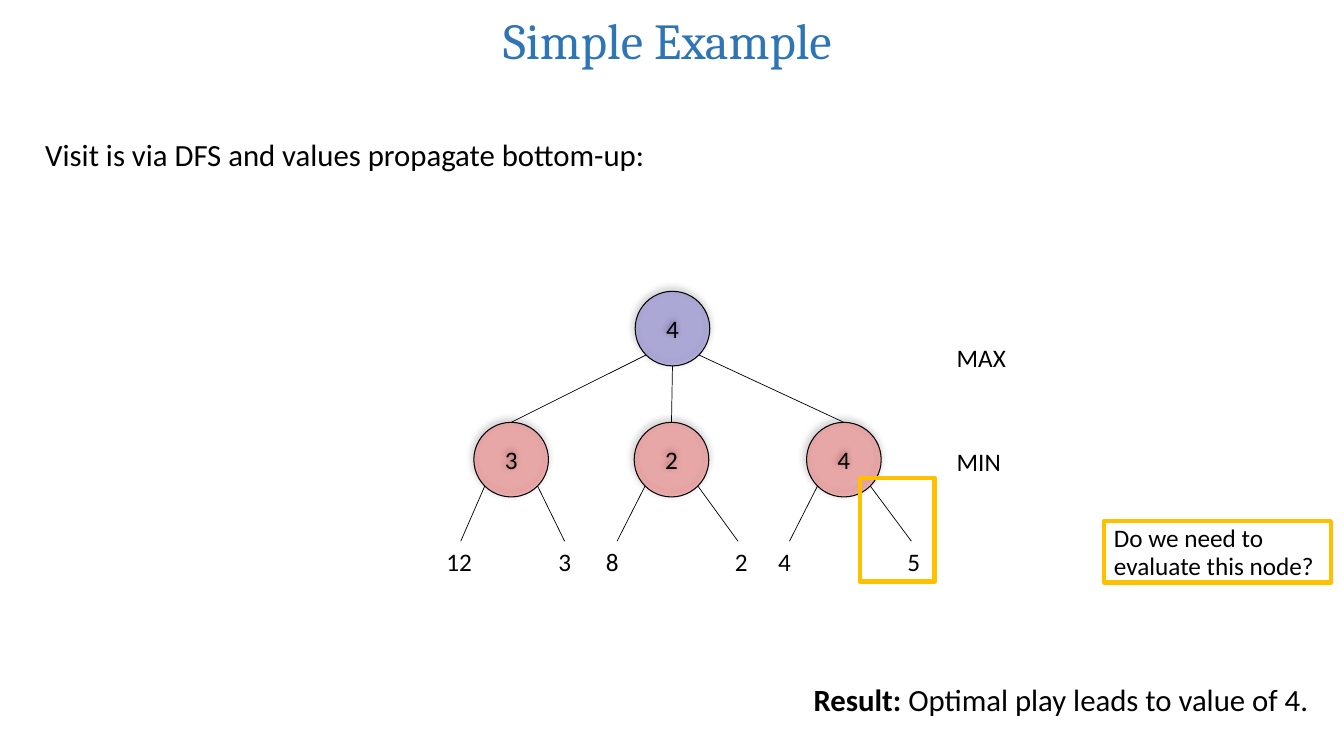
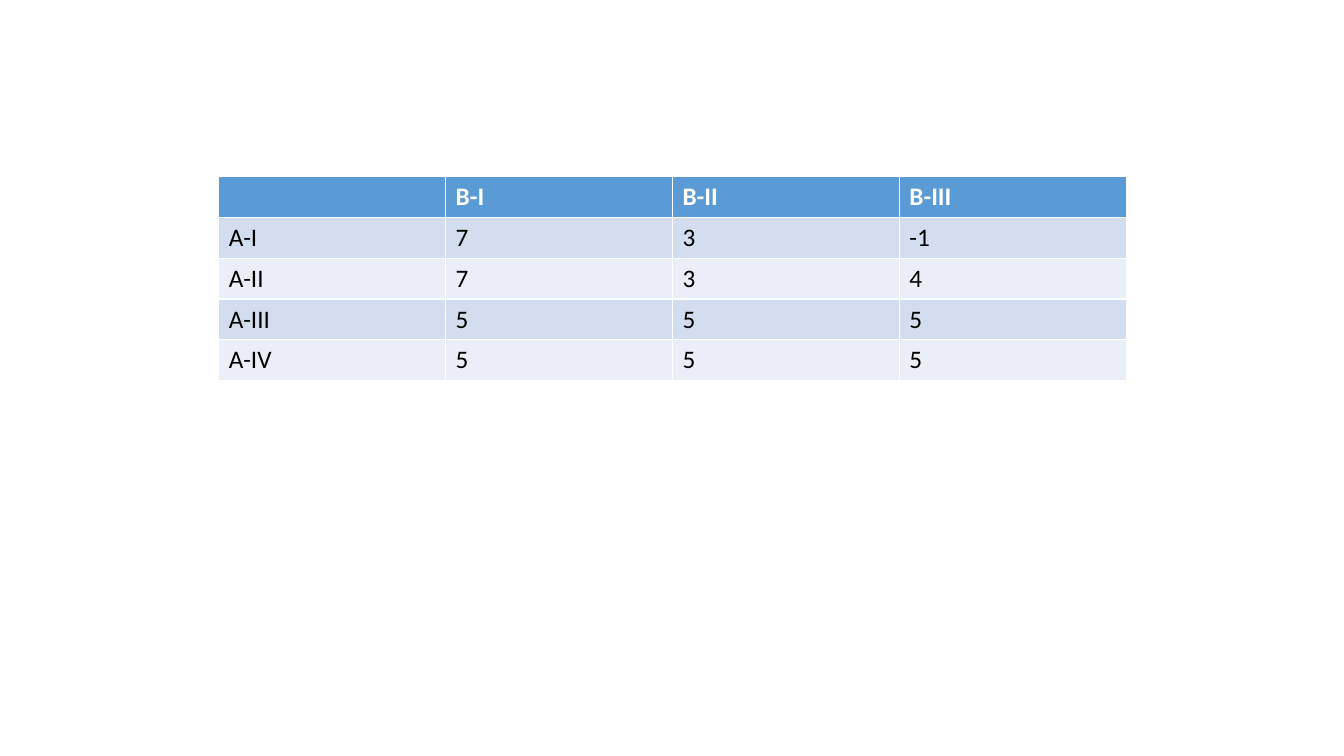
from dataclasses import dataclass

from lxml import etree
from pptx import Presentation
from pptx.dml.color import RGBColor
from pptx.enum import shapes, text
from pptx.oxml import ns
from pptx.util import Inches, Pt


@dataclass(frozen=True)
class Theme:
    head: str = "Cambria"
    body: str = "Calibri"
    title: int = 36
    lead: int = 22
    base: int = 18
    ink: str = "000000"
    blue: str = "2E75B6"
    max: str = "1306BA"
    min: str = "FF0000"
    mark: str = "FFC000"
    white: str = "FFFFFF"
    top: str = "5B9BD5"
    bands: tuple = ("D2DEEF", "EAEFF7")


T = Theme()

# Content: the tree (centre x, value, leaves as label, label left, edge end)
TITLE = "Simple Example"
LEAD = "Visit is via DFS and values propagate bottom-up:"
RESULT = ("Result:", " Optimal play leads to value of 4.")
ASK = "Do we need to evaluate this node?"
ROOT = (6.67, "4")
NODES = [
    (5.07, "3", [("12", 4.33, 4.57), ("3", 5.44, 5.6)]),
    (6.66, "2", [("8", 5.91, 6.12), ("2", 7.19, 7.32)]),
    (8.37, "4", [("4", 7.62, 7.83), ("5", 8.9, 9.04)]),
]
LEVELS = [("MAX", 3.35), ("MIN", 4.38)]
GRID = [
    ("", "B-I", "B-II", "B-III"),
    ("A-I", "7", "3", "-1"),
    ("A-II", "7", "3", "4"),
    ("A-III", "5", "5", "5"),
    ("A-IV", "5", "5", "5"),
]

# Tree geometry: circle size, diagonal reach and the three levels
SIZE = 0.74
RAD = SIZE / 2
DIAG = RAD * 0.707
ROOT_Y, NODE_Y, LEAF_Y = 3.26, 4.56, 5.37


def rgb(code):
    return RGBColor.from_string(code)


def style(font, size=T.base, color=T.ink, face=T.body, bold=False):
    font.size, font.name, font.bold = Pt(size), face, bold
    font.color.rgb = rgb(color)


def write(frame, parts, space=1.0, align=text.PP_ALIGN.LEFT,
          anchor=text.MSO_ANCHOR.TOP, **look):
    """Fill a frame with one paragraph; the first of several runs is bold."""
    frame.word_wrap = True
    frame.vertical_anchor = anchor
    para = frame.paragraphs[0]
    para.alignment, para.line_spacing = align, space
    for i, part in enumerate(parts):
        run = para.add_run()
        run.text = part
        style(run.font, bold=len(parts) > 1 and i == 0, **look)


def label(slide, box, *parts, **look):
    shape = slide.shapes.add_textbox(*map(Inches, box))
    write(shape.text_frame, parts, **look)


def edge(slide, x1, y1, x2, y2):
    line = slide.shapes.add_connector(
        shapes.MSO_CONNECTOR.STRAIGHT, *map(Inches, (x1, y1, x2, y2)))
    line.line.color.rgb = rgb(T.ink)
    line.line.width = Pt(0.5)
    etree.SubElement(line._element.spPr, ns.qn("a:effectLst"))


def node(slide, x, y, value, color):
    """Draw a see-through circle with a soft shadow and its value."""
    shape = slide.shapes.add_shape(
        shapes.MSO_SHAPE.OVAL, Inches(x - RAD), Inches(y - RAD),
        Inches(SIZE), Inches(SIZE))
    shape.fill.solid()
    shape.fill.fore_color.rgb = rgb(color)
    shape.line.color.rgb = rgb(T.ink)
    shape.line.width = Pt(0.75)
    shape.shadow.inherit = False
    props = shape._element.spPr
    tint = props.find(ns.qn("a:solidFill"))[0]
    etree.SubElement(tint, ns.qn("a:alpha"), val="25000")
    shade = etree.SubElement(
        props.find(ns.qn("a:effectLst")), ns.qn("a:outerShdw"),
        blurRad=str(Pt(5)), dist=str(Pt(2)), dir=str(245 * 60000),
        rotWithShape="0")
    black = etree.SubElement(shade, ns.qn("a:srgbClr"), val=T.ink)
    etree.SubElement(black, ns.qn("a:alpha"), val="50000")
    frame = shape.text_frame
    frame.margin_left = frame.margin_right = 0
    frame.margin_top = frame.margin_bottom = 0
    write(frame, [value], align=text.PP_ALIGN.CENTER,
          anchor=text.MSO_ANCHOR.MIDDLE)


def frame_box(slide, box, *parts):
    shape = slide.shapes.add_shape(
        shapes.MSO_SHAPE.RECTANGLE, *map(Inches, box))
    shape.fill.background()
    shape.line.color.rgb = rgb(T.mark)
    shape.line.width = Pt(3)
    shape.shadow.inherit = False
    write(shape.text_frame, parts, space=0.9)


def tree(slide):
    label(slide, (0.52, 0.08, 12.2, 0.62), TITLE, size=T.title,
          color=T.blue, face=T.head, align=text.PP_ALIGN.CENTER,
          anchor=text.MSO_ANCHOR.MIDDLE)
    label(slide, (0.35, 1.34, 6.18, 0.55), LEAD, size=T.lead, space=0.9)
    label(slide, (7.97, 6.78, 5.25, 0.4), *RESULT, size=T.lead, space=0.8)
    for name, y in LEVELS:
        label(slide, (9.39, y, 0.74, 0.4), name,
              anchor=text.MSO_ANCHOR.MIDDLE)

    # Circles, then their edges and leaves
    root, best = ROOT
    node(slide, root, ROOT_Y, best, T.max)
    for side, (x, value, leaves) in zip((-1, 0, 1), NODES):
        node(slide, x, NODE_Y, value, T.min)
        drop = DIAG if side else RAD
        edge(slide, root + side * DIAG, ROOT_Y + drop, x, NODE_Y - RAD)
        for way, (leaf, left, end) in zip((-1, 1), leaves):
            edge(slide, x + way * DIAG, NODE_Y + DIAG, end, LEAF_Y)
            label(slide, (left, LEAF_Y, 0.49, 0.4), leaf)

    # Question and the branch it is about
    frame_box(slide, (10.95, 5.17, 2.25, 0.61), ASK)
    frame_box(slide, (8.53, 4.74, 0.74, 1.03))


def payoffs(slide):
    table = slide.shapes.add_table(
        len(GRID), len(GRID[0]), Inches(2.17), Inches(1.75),
        Inches(9), Inches(2)).table
    for i, row in enumerate(GRID):
        for j, value in enumerate(row):
            cell = table.cell(i, j)
            cell.fill.solid()
            cell.fill.fore_color.rgb = rgb(T.bands[(i - 1) % 2] if i else T.top)
            cell.text_frame.text = value
            style(cell.text_frame.paragraphs[0].font,
                  color=T.ink if i else T.white, bold=i == 0)


def main():
    deck = Presentation()
    deck.slide_width, deck.slide_height = Inches(13.33), Inches(7.5)
    for draw in (tree, payoffs):
        draw(deck.slides.add_slide(deck.slide_layouts[6]))
    deck.save("out.pptx")


if __name__ == "__main__":
    main()
